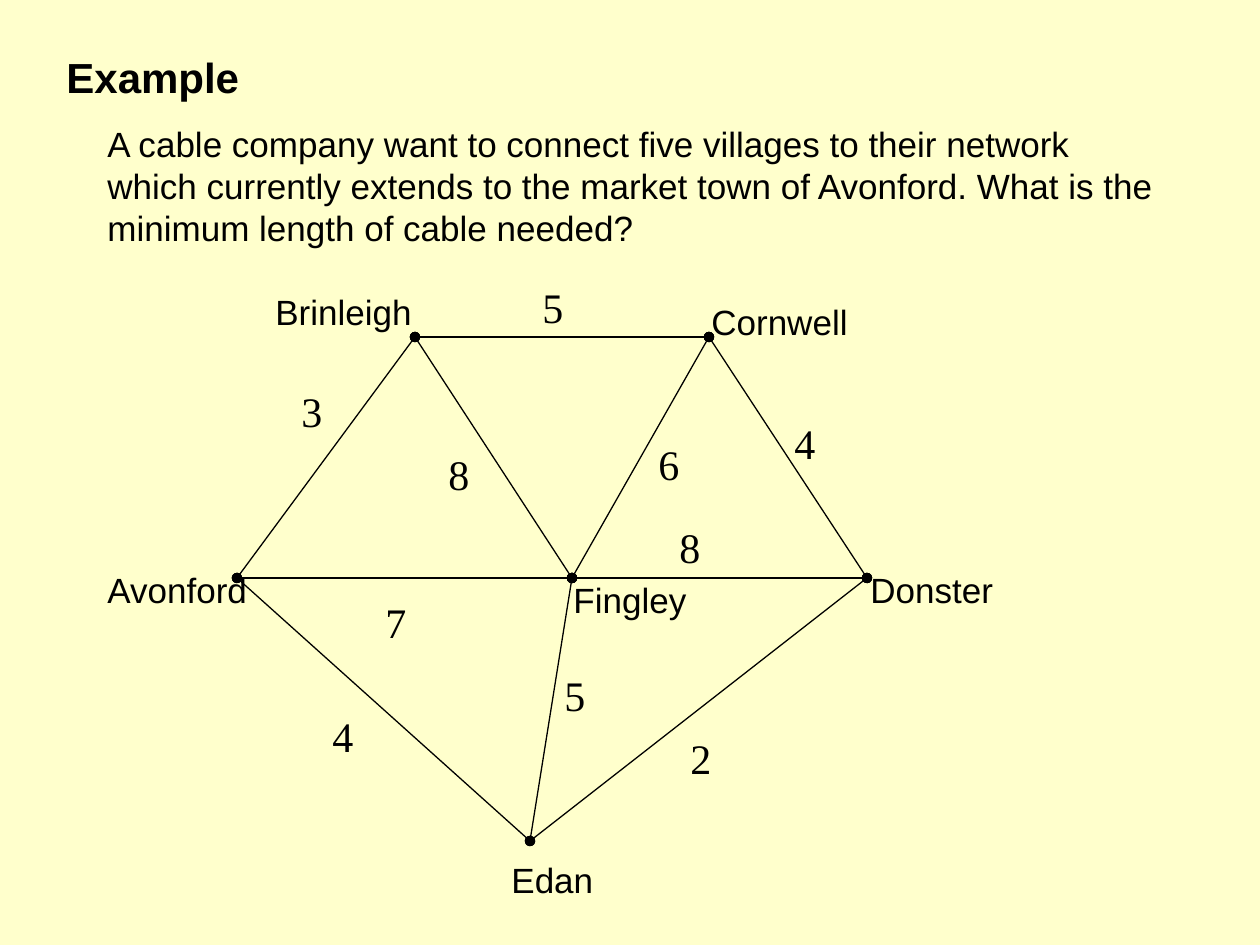
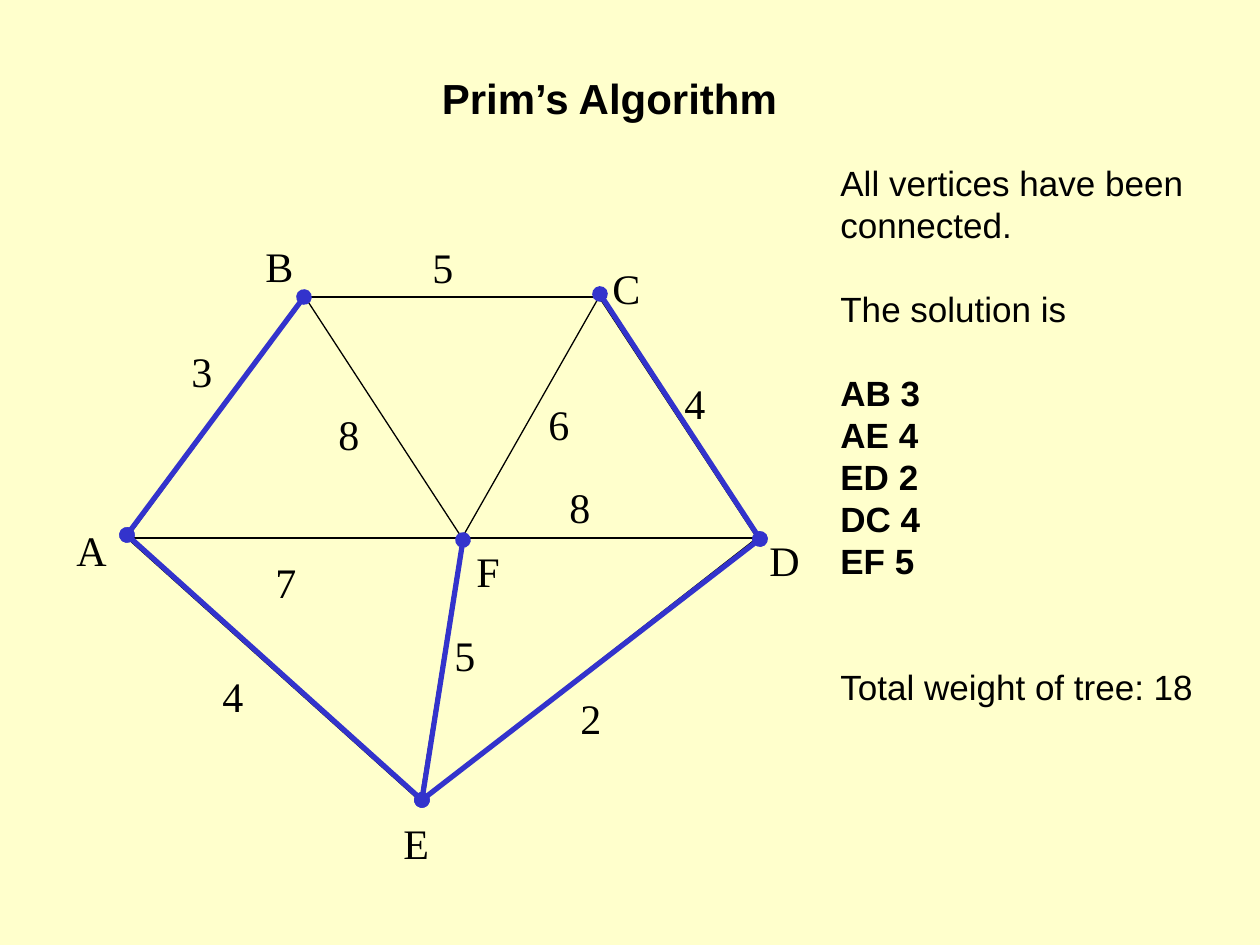
from lxml.etree import SubElement
from pptx import Presentation
from pptx.dml.color import RGBColor
from pptx.enum.shapes import MSO_CONNECTOR
from pptx.enum.text import MSO_ANCHOR, PP_ALIGN
from pptx.oxml.ns import qn
from pptx.util import Pt

EMU_PER_PX = 914400 / 126

CREAM = RGBColor(0xFF, 0xFF, 0xCC)
BLACK = RGBColor(0x00, 0x00, 0x00)
BLUE = RGBColor(0x33, 0x33, 0xCC)

# Text formats
HEADING = dict(name="Arial", size=Pt(24), bold=True)
BODY = dict(name="Arial", size=Pt(20), bold=False)
BOLD_BODY = dict(BODY, bold=True)
SERIF = dict(name="Times New Roman", size=Pt(24), bold=False)
BLANK_LINE = 24  # points taken by one line of body text

# Network shared by both slides, in px from the network's left and top
NODES = dict(A=(0, 241), B=(178, 0), C=(472, 0),
             D=(630, 241), E=(293, 504), F=(335, 241))
# Edge: weight and the place of its label
EDGES = {
    "AB": (3, (52, 42)), "BC": (5, (293, -62)), "CD": (4, (545, 74)),
    "AF": (7, (136, 253)), "FD": (8, (430, 178)), "BF": (8, (199, 105)),
    "FC": (6, (409, 95)), "AE": (4, (83, 367)), "EF": (5, (315, 326)),
    "ED": (2, (441, 389)),
}
LABEL_SIZE = 63

# Village label: text, left, top, width
VILLAGES = [
    ("Avonford", -142, 225, 169), ("Fingley", 324, 235, 146),
    ("Brinleigh", 26, -53, 163), ("Cornwell", 462, -43, 179),
    ("Donster", 621, 225, 190), ("Edan", 262, 515, 131),
]
LETTERS = [
    ("A", -63, 221, LABEL_SIZE), ("F", 337, 242, LABEL_SIZE),
    ("B", 126, -63, LABEL_SIZE), ("C", 473, -41, LABEL_SIZE),
    ("D", 630, 231, LABEL_SIZE), ("E", 264, 514, LABEL_SIZE),
]

# Minimum spanning tree, drawn over the network
TREE_NODES = dict(A=(0, 238), B=(177, 0), C=(473, -3),
                  D=(633, 242), E=(295, 503), F=(336, 243))
TREE_EDGES = ["AB", "AE", "ED", "DC", "EF"]

QUESTION = ("A cable company want to connect five villages to their network "
            "which currently extends to the market town of Avonford. "
            "What is the minimum length of cable needed?")


def px(*lengths):
    return [round(length * EMU_PER_PX) for length in lengths]


def add_text(shapes, box, lines, style, anchor=MSO_ANCHOR.TOP,
             align=PP_ALIGN.LEFT):
    """Lines are strings, or (string, style, blank lines before)."""
    frame = shapes.add_textbox(*px(*box)).text_frame
    frame.word_wrap = True
    frame.vertical_anchor = anchor
    for index, line in enumerate(lines):
        words, look, gap = (line, style, 0) if isinstance(line, str) else line
        paragraph = frame.paragraphs[0] if index == 0 else frame.add_paragraph()
        paragraph.alignment = align
        paragraph.space_before = Pt(gap * BLANK_LINE)
        run = paragraph.add_run()
        run.text = words
        run.font.color.rgb = BLACK
        for attribute, value in look.items():
            setattr(run.font, attribute, value)


def add_edge(shapes, origin, start, end, color, width, dotted):
    left, top = origin
    edge = shapes.add_connector(
        MSO_CONNECTOR.STRAIGHT,
        *px(left + start[0], top + start[1], left + end[0], top + end[1]))
    edge.line.color.rgb = color
    edge.line.width = Pt(width)
    if dotted:
        outline = edge.line._get_or_add_ln()
        for tag in ("a:headEnd", "a:tailEnd"):
            SubElement(outline, qn(tag), type="oval")
    SubElement(edge._element.spPr, qn("a:effectLst"))


def add_network(slide, origin, names, name_style, name_height, dotted):
    left, top = origin
    shapes = slide.shapes.add_group_shape().shapes
    # Edges
    for start, end in EDGES:
        add_edge(shapes, origin, NODES[start], NODES[end], BLACK, 0.75, dotted)
    # Vertex names
    for name, x, y, width in names:
        add_text(shapes, (left + x, top + y, width, name_height),
                 [name], name_style)
    # Weights
    for weight, (x, y) in EDGES.values():
        add_text(shapes, (left + x, top + y, LABEL_SIZE, LABEL_SIZE),
                 [str(weight)], SERIF)


def add_tree(slide, origin):
    for start, end in TREE_EDGES:
        add_edge(slide.shapes, origin, TREE_NODES[start], TREE_NODES[end],
                 BLUE, 3, True)


def add_solution(slide, box):
    tree_lines = [(f"{edge} {EDGES.get(edge, EDGES.get(edge[::-1]))[0]}",
                   BOLD_BODY, 1 if index == 0 else 0)
                  for index, edge in enumerate(TREE_EDGES)]
    add_text(slide.shapes, box, [
        "All vertices have been",
        "connected.",
        ("The solution is", BODY, 1),
        *tree_lines,
        ("Total weight of tree: 18", BODY, 2),
    ], BODY)


def build_example(slide):
    add_text(slide.shapes, (95, 106, 1071, 158), [QUESTION], BODY,
             anchor=MSO_ANCHOR.MIDDLE)
    add_network(slide, (237, 337), VILLAGES, BODY, 55, dotted=True)
    add_text(slide.shapes, (54, 45, 198, 63), ["Example"], HEADING)


def build_prim(slide):
    origin = (127, 297)
    add_text(slide.shapes, (113, 66, 993, 63), ["Prim’s Algorithm"], HEADING,
             align=PP_ALIGN.CENTER)
    add_network(slide, origin, LETTERS, SERIF, LABEL_SIZE, dotted=False)
    add_solution(slide, (828, 155, 397, 601))
    add_tree(slide, origin)


def main():
    prs = Presentation()
    prs.slide_width, prs.slide_height = px(1260, 945)
    # Shared background
    fill = prs.slide_master.background.fill
    fill.solid()
    fill.fore_color.rgb = CREAM
    for build in (build_example, build_prim):
        build(prs.slides.add_slide(prs.slide_layouts[6]))
    prs.save("out.pptx")


if __name__ == "__main__":
    main()
